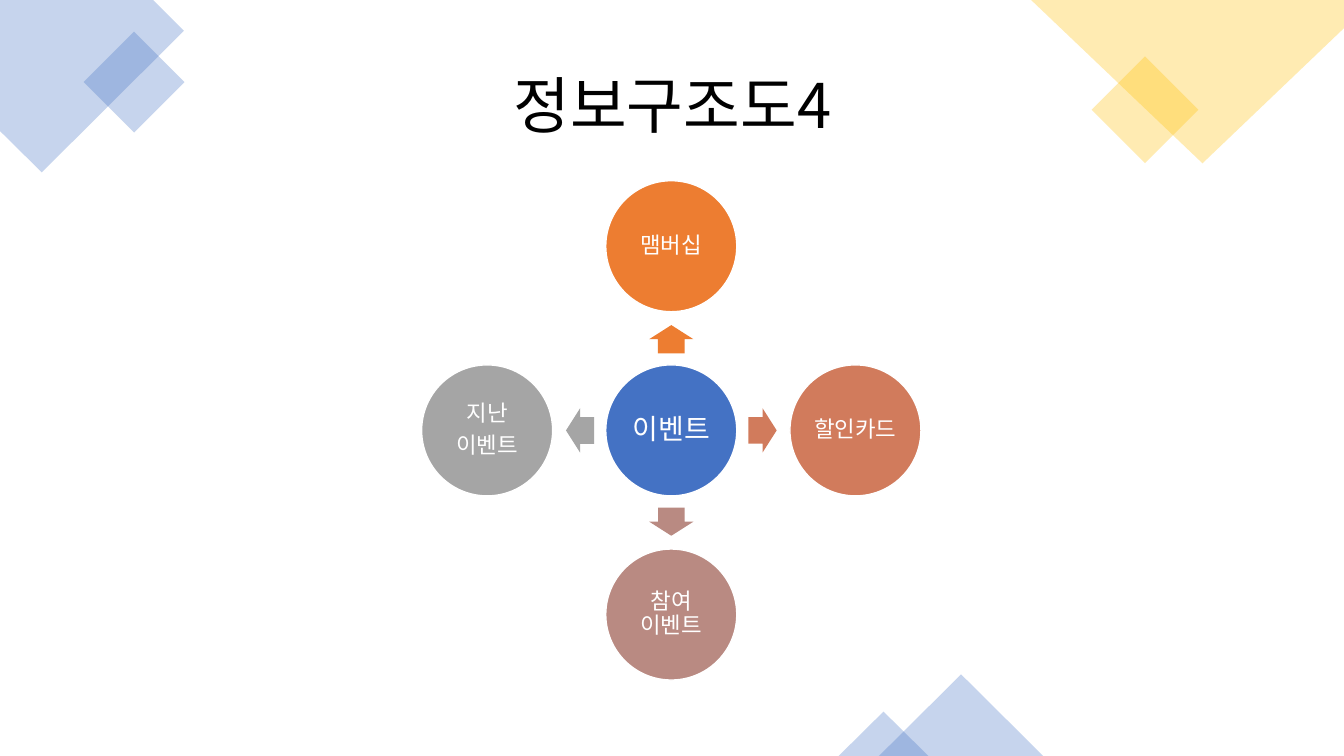
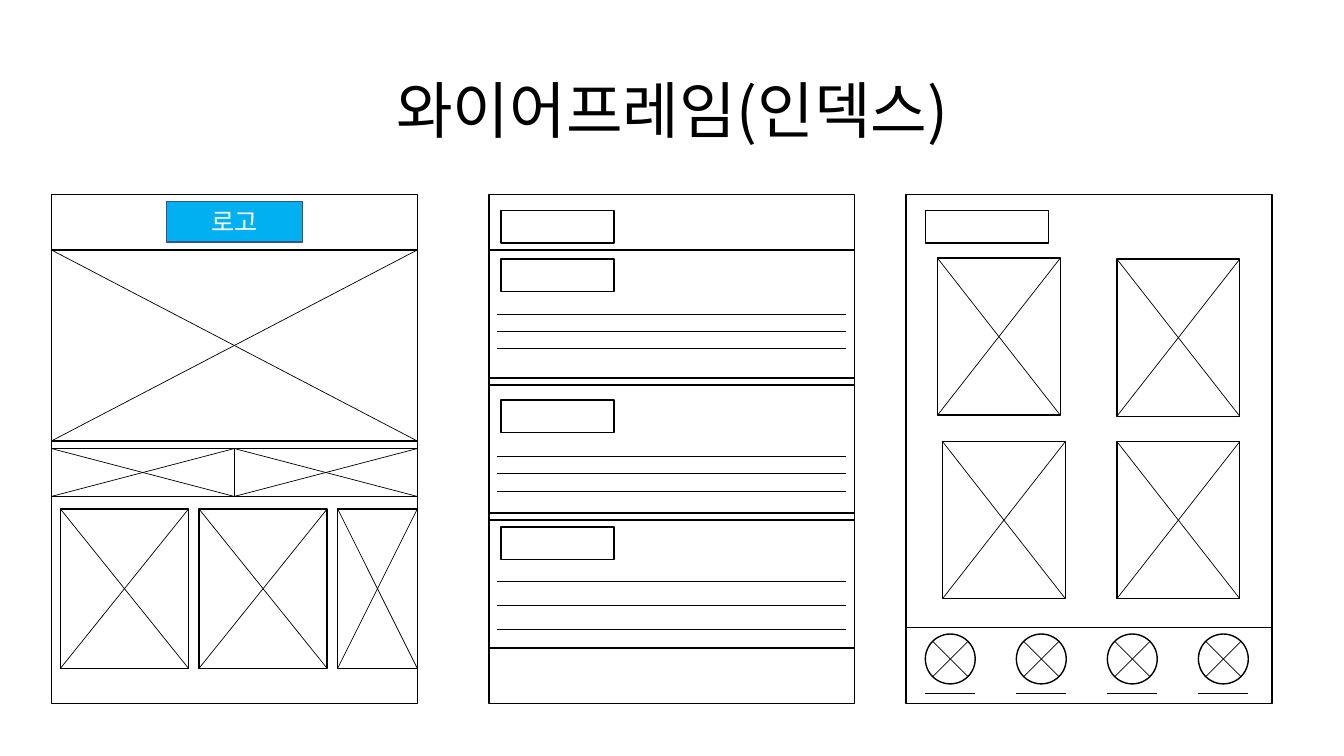
from itertools import product

from pptx import Presentation
from pptx.dml.color import RGBColor
from pptx.enum.shapes import MSO_CONNECTOR, MSO_SHAPE
from pptx.enum.text import MSO_ANCHOR, PP_ALIGN
from pptx.oxml.ns import qn
from pptx.oxml.xmlchemy import OxmlElement
from pptx.util import Emu, Inches, Pt

RECT, OVAL = MSO_SHAPE.RECTANGLE, MSO_SHAPE.OVAL
DIAMOND, TRIANGLE = MSO_SHAPE.DIAMOND, MSO_SHAPE.ISOSCELES_TRIANGLE
ARROW, STRAIGHT = MSO_SHAPE.RIGHT_ARROW, MSO_CONNECTOR.STRAIGHT
MIDDLE, CENTER = MSO_ANCHOR.MIDDLE, PP_ALIGN.CENTER
FONT = "Noto Sans CJK KR"
WHITE, BLACK, BLUE, YELLOW = "FFFFFF", "000000", "4472C4", "FFC000"
ORANGE, CORAL, ROSE, GRAY = "ED7D31", "D17B5C", "B98A82", "A5A5A5"
ROWS = 75


def rgb(value):
    """Turn a hex string into a colour."""
    return RGBColor.from_string(value)


def apply(target, values):
    """Set each named attribute of the target."""
    for name, value in values.items():
        setattr(target, name, value)


class Deck:
    """Draw styled elements on the current slide, measured in grid cells."""

    def __init__(self):
        """Open a wide presentation with square grid cells."""
        self.prs = Presentation()
        apply(self.prs, {"slide_width": Emu(12192000), "slide_height": Inches(7.5)})
        self.cell = self.prs.slide_height / ROWS
        self.s = None

    def grid(self, *cells):
        """Convert columns and rows to lengths."""
        return [Emu(round(c * self.cell)) for c in cells]

    def slide(self, title, top):
        """Start a slide with a centred title."""
        self.s = self.prs.slides.add_slide(self.prs.slide_layouts[6])
        tb = self.s.shapes.add_textbox(*self.grid(9.2, top, 115, 14.5))
        self.text(tb, [title], 44, BLACK, {"line_spacing": 0.9})

    def text(self, sp, lines, size, color, spacing=None, margin=None):
        """Write centred paragraphs in a shape."""
        tf = sp.text_frame
        apply(tf, {"word_wrap": True, "vertical_anchor": MIDDLE})
        if margin is not None:
            sides = ("left", "right", "top", "bottom")
            apply(tf, {f"margin_{side}": Inches(margin) for side in sides})
        for i, line in enumerate(lines):
            p = tf.add_paragraph() if i else tf.paragraphs[0]
            apply(p, {"alignment": CENTER, **(spacing or {})})
            r = p.add_run()
            r.text = line
            apply(r.font, {"size": Pt(size), "name": FONT})
            r.font.color.rgb = rgb(color)
            ea = OxmlElement("a:ea")
            ea.set("typeface", FONT)
            r.font._element.find(qn("a:latin")).addnext(ea)

    def paint(self, sp, fill, line=None, alpha=None):
        """Give a shape its fill and outline without a shadow."""
        sp.shadow.inherit = False
        sp.fill.solid()
        sp.fill.fore_color.rgb = rgb(fill)
        if alpha is not None:
            node = OxmlElement("a:alpha")
            node.set("val", str(alpha * 1000))
            sp._element.spPr.find(qn("a:solidFill"))[0].append(node)
        if line:
            sp.line.color.rgb = rgb(line)
            sp.line.width = Pt(1)
        else:
            sp.line.fill.background()
        return sp

    def shape(self, kind, x, y, w, h, fill=WHITE, line=None, alpha=None):
        """Add a preset shape."""
        sp = self.s.shapes.add_shape(kind, *self.grid(x, y, w, h))
        return self.paint(sp, fill, line, alpha)

    def polygon(self, points, fill, alpha):
        """Add a closed outline."""
        start, *rest = [self.grid(*point) for point in points]
        fb = self.s.shapes.build_freeform(*start)
        fb.add_line_segments(rest)
        self.paint(fb.convert_to_shape(), fill, alpha=alpha)

    def line(self, x1, y1, x2, y2):
        """Add a thin straight line."""
        cx = self.s.shapes.add_connector(STRAIGHT, *self.grid(x1, y1, x2, y2))
        cx.line.color.rgb = rgb(BLACK)
        cx.line.width = Pt(0.5)
        cx._element.spPr.append(OxmlElement("a:effectLst"))

    def cross(self, x, y, w, h):
        """Add both diagonals of an area."""
        self.line(x, y, x + w, y + h)
        self.line(x + w, y, x, y + h)

    def frame(self, x, y, w, h, kind=RECT):
        """Add an outlined white shape."""
        self.shape(kind, x, y, w, h, line=BLACK)

    def picture_slot(self, x, y, w, h):
        """Add a frame crossed from corner to corner."""
        self.frame(x, y, w, h)
        self.cross(x, y, w, h)

    def node(self, x, y, lines, size, fill, margin):
        """Add a labelled circle around a centre."""
        sp = self.shape(OVAL, x - 6.5, y - 6.5, 13, 13, fill, WHITE)
        spacing = {"line_spacing": 0.9, "space_after": Pt(0.35 * size)}
        self.text(sp, lines, size, WHITE, spacing, margin)

    def arrow(self, x, y, rotation, fill):
        """Add a turned block arrow around a centre."""
        sp = self.shape(ARROW, x - 1.4, y - 2.2, 2.8, 4.4, fill)
        sp.rotation = rotation
        sp.adjustments[0] = 0.6


def event_map(d):
    """Build the event structure slide."""
    d.slide("정보구조도4", 3.5)
    d.polygon([(0, 0), (15.2, 0), (18.25, 3.05), (4.15, 17.1), (0, 13)], BLUE, 30)
    d.polygon([(102.3, 0), (133.33, 0), (133.33, 2.8), (119.3, 16.2)], YELLOW, 30)
    for kind, x, y, w, h, color in (
        (DIAMOND, 8.3, 3.15, 10, 10, BLUE),
        (DIAMOND, 108.3, 5.6, 10.6, 10.6, YELLOW),
        (TRIANGLE, 87.2, 66.9, 16.3, 8.1, BLUE),
        (TRIANGLE, 83.2, 70.6, 8.9, 4.4, BLUE),
    ):
        d.shape(kind, x, y, w, h, color, alpha=30)

    x, y = 66.6, 42.7
    d.node(x, y, ["이벤트"], 20, BLUE, 0.03)
    for dx, dy, rotation, lines, fill in (
        (0, -1, 270, ["맴버십"], ORANGE),
        (1, 0, 0, ["할인카드"], CORAL),
        (0, 1, 90, ["참여 이벤트"], ROSE),
        (-1, 0, 180, ["지난", "이벤트"], GRAY),
    ):
        d.arrow(x + 9.05 * dx, y + 9.05 * dy, rotation, fill)
        d.node(x + 18.27 * dx, y + 18.27 * dy, lines, 16, fill, 0.02)


def home_screen(d, x, y, w):
    """Draw the screen with a logo, a banner and cards."""
    logo = d.shape(RECT, x + 11.4, y + 0.7, 13.5, 4, "00B0F0", "325491")
    d.text(logo, ["로고"], 18, WHITE)
    d.picture_slot(x, y + 5.5, w, 18.95)
    d.frame(x, y + 25.2, w, 4.75)
    d.line(x + w / 2, y + 25.2, x + w / 2, y + 29.95)
    for i in range(2):
        d.cross(x + i * w / 2, y + 25.2, w / 2, 4.75)
    for i, width in enumerate((12.7, 12.7, 7.9)):
        d.picture_slot(x + 0.9 + 13.75 * i, y + 31.2, width, 15.8)


def list_screen(d, x, y, w):
    """Draw the screen with three text sections."""
    d.frame(x + 1.2, y + 1.6, 11.2, 3.2)
    for i, (label, first, gap) in enumerate(
        ((6.4, 11.9, 1.7), (20.4, 26, 1.7), (33, 38.4, 2.35))
    ):
        d.frame(x, y + 5.5 + 13.4 * i, w, 12.7)
        d.frame(x + 1.2, y + label, 11.2, 3.2)
        for j in range(3):
            row = y + first + gap * j
            d.line(x + 0.8, row, x + w - 0.9, row)


def gallery_screen(d, x, y, w):
    """Draw the screen with four pictures and a tab bar."""
    d.frame(x + 1.9, y + 1.6, 12.2, 3.2)
    for dx, dy in ((3.1, 6.3), (20.9, 6.4), (3.6, 24.5), (20.9, 24.5)):
        d.picture_slot(x + dx, y + dy, 12.2, 15.6)
    d.line(x, y + 42.9, x + w, y + 42.9)
    for i in range(4):
        left = x + 1.9 + 9.03 * i
        d.frame(left, y + 43.6, 4.95, 4.95, OVAL)
        d.cross(left + 0.73, y + 44.33, 3.5, 3.5)
        d.line(left, y + 49.5, left + 4.95, y + 49.5)


def wireframes(d):
    """Build the wireframe slide."""
    d.slide("와이어프레임(인덱스)", 4)
    y, w, h = 19.3, 36.3, 50.5
    screens = zip((5.1, 48.5, 89.9), (home_screen, list_screen, gallery_screen))
    for x, screen in screens:
        d.frame(x, y, w, h)
        screen(d, x, y, w)


def main():
    """Build and save the slides."""
    d = Deck()
    event_map(d)
    wireframes(d)
    d.prs.save("out.pptx")


if __name__ == "__main__":
    main()
